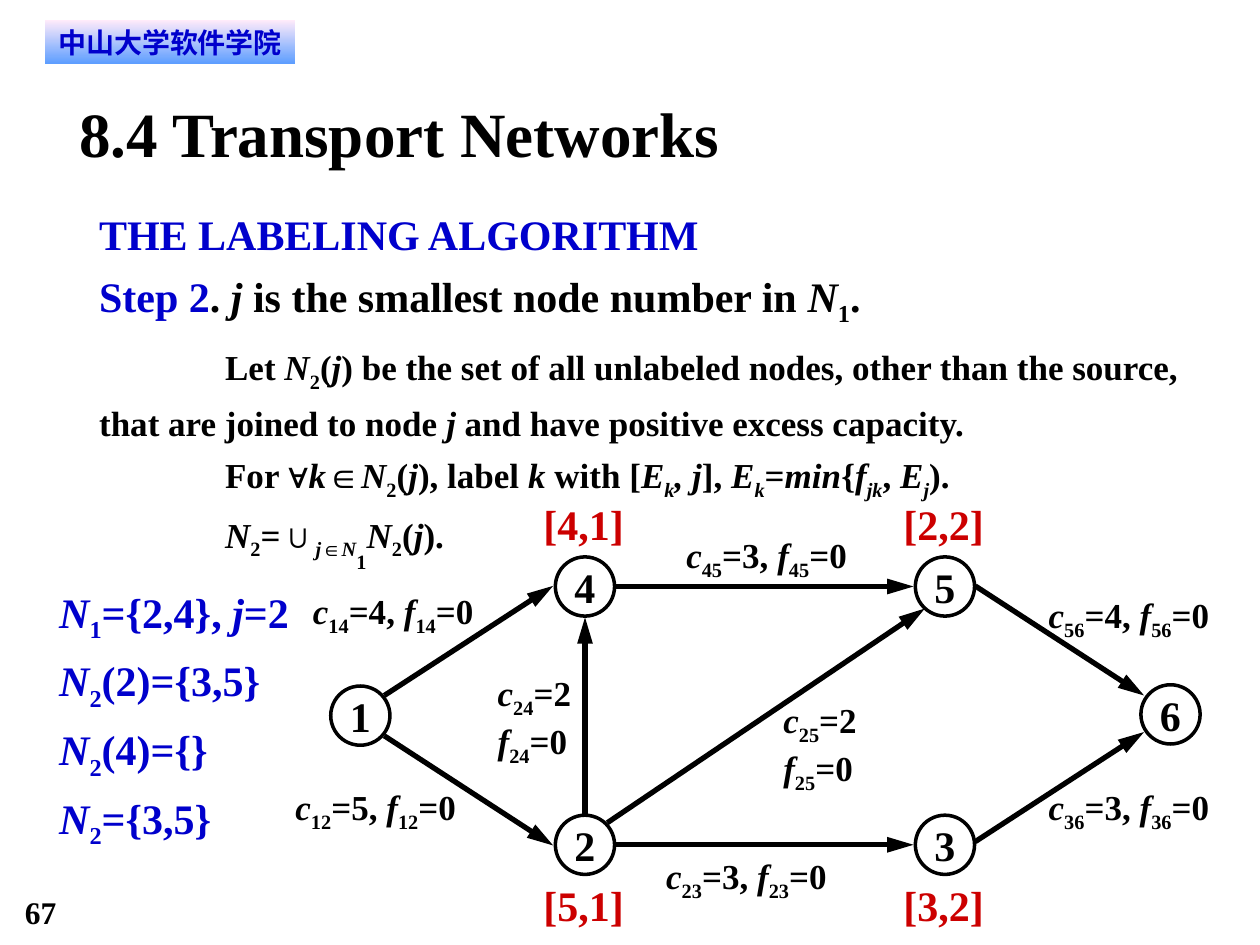
from itertools import groupby

from lxml.etree import SubElement
from pptx import Presentation
from pptx.dml.color import RGBColor
from pptx.enum.shapes import MSO_CONNECTOR as Connector, MSO_SHAPE as Shape
from pptx.enum.text import MSO_ANCHOR as Anchor, PP_ALIGN as Align
from pptx.oxml.ns import qn
from pptx.util import Inches, Pt

COLUMNS, ROWS = 100, 75
BLACK, BLUE, RED = "000000", "0000CC", "CC0000"
SERIF, SYMBOL = "Times New Roman", "Arial"


def colour(value):
    return RGBColor.from_string(value)


def write(para, markup, size=20, ink=BLACK, font=SERIF):
    """Add bold runs: *italic*, _subscript_, ^deep subscript^."""
    marks, styled = {"*": False, "_": False, "^": False}, []
    for char in markup:
        if char in marks:
            marks[char] = not marks[char]
        else:
            face = SYMBOL if char in "∀∈" else font
            styled.append((char, (face, *marks.values())))
    for style, chars in groupby(styled, key=lambda item: item[1]):
        face, italic, low, deep = style
        span = para.add_run()
        span.text = "".join(char for char, _ in chars)
        span.font.name, span.font.size = face, Pt(size)
        span.font.bold, span.font.italic = True, italic
        span.font.color.rgb = colour(ink)
        if low or deep:
            span.font._element.set("baseline", "-60000" if deep else "-25000")


class Page:
    def __init__(self, deck):
        self.slide = deck.slides.add_slide(deck.slide_layouts[6])
        self.column = deck.slide_width / COLUMNS
        self.row = deck.slide_height / ROWS

    def place(self, left, top, width, height):
        return (round(left * self.column), round(top * self.row),
                round(width * self.column), round(height * self.row))

    def frame(self, box, margins=(0, 0), wrap=True, anchor=Anchor.TOP):
        frame = box.text_frame
        frame.margin_left = frame.margin_right = Inches(margins[0])
        frame.margin_top = frame.margin_bottom = Inches(margins[1])
        frame.word_wrap, frame.vertical_anchor = wrap, anchor
        return frame

    def text(self, area, lines, spacing=1.0, wrap=True, tab=None, **style):
        """Each line is a markup string or a list of (markup, format) pieces."""
        frame = self.frame(self.slide.shapes.add_textbox(*self.place(*area)), wrap=wrap)
        for index, line in enumerate(lines):
            para = frame.add_paragraph() if index else frame.paragraphs[0]
            para.line_spacing = spacing
            if tab:
                stops = SubElement(para._p.get_or_add_pPr(), qn("a:tabLst"))
                SubElement(stops, qn("a:tab"), pos=str(round(tab * self.column)), algn="l")
            pieces = [(line, {})] if isinstance(line, str) else line
            for markup, extra in pieces:
                write(para, markup, **{**style, **extra})

    def shape(self, kind, area, label, margins=(0, 0), wrap=True, **style):
        box = self.slide.shapes.add_shape(kind, *self.place(*area))
        box.shadow.inherit = False
        frame = self.frame(box, margins, wrap, Anchor.MIDDLE)
        frame.paragraphs[0].alignment = Align.CENTER
        write(frame.paragraphs[0], label, **style)
        return box

    def banner(self, area, label):
        box = self.shape(Shape.RECTANGLE, area, label, (0.08, 0.04),
                         size=16, ink=BLUE, font="DejaVu Sans")
        box.line.fill.background()
        box.fill.gradient()
        box.fill.gradient_angle = 270
        for stop, value, position in zip(box.fill.gradient_stops, ("FFEBFA", "5E9EFF"), (0, 1)):
            stop.color.rgb, stop.position = colour(value), position

    def node(self, centre, label, diameter=4.7):
        x, y = centre
        area = (x - diameter / 2, y - diameter / 2, diameter, diameter)
        box = self.shape(Shape.OVAL, area, label, wrap=False, size=24)
        box.fill.background()
        box.line.color.rgb, box.line.width = colour(BLACK), Pt(2)

    def arrow(self, start, end):
        line = self.slide.shapes.add_connector(
            Connector.STRAIGHT, *self.place(*start, *end))
        line.line.color.rgb, line.line.width = colour(BLACK), Pt(3)
        SubElement(line.line._get_or_add_ln(), qn("a:tailEnd"),
                   type="triangle", w="med", len="lg")
        SubElement(line._element.spPr, qn("a:effectLst"))


def main():
    deck = Presentation()
    deck.slide_width, deck.slide_height = Inches(10), Inches(7.5)
    page = Page(deck)

    # Page number, banner and title
    page.text((1.97, 70.85, 7.5, 3), ["67"], size=18)
    page.banner((3.55, 1.6, 19.9, 3.45), "中山大学软件学院")
    page.text((6.3, 7.5, 87.5, 6), ["8.4 Transport Networks"], size=36)

    # Algorithm step
    large, blue = {"size": 24}, {"size": 24, "ink": BLUE}
    page.text((7.87, 15.75, 86.4, 29.7), [
        [("THE LABELING ALGORITHM", blue)],
        [("Step 2", blue), (". *j* is the smallest node number in *N*_1_.", large)],
        [("\t", large),
         ("Let *N*_2_(*j*) be the set of all unlabeled nodes, other than the source, "
          "that are joined to node *j* and have positive excess capacity.", {})],
        "\tFor ∀*k*∈*N*_2_(*j*), label *k* with [*E_k_, j*], "
        "*E_k_*=*min*{*f_jk_*, *E_j_*).",
        "\t*N*_2_=∪_*j*∈*N*_^1^*N*_2_(*j*).",
    ], spacing=1.2, tab=10)

    # Sets found in this step
    page.text((4.7, 45.6, 18.8, 21.8),
              ["*N*_1_={2,4}, *j*=2", "*N*_2_(2)={3,5}", "*N*_2_(4)={}", "*N*_2_={3,5}"],
              spacing=1.2, size=24, ink=BLUE)

    # Capacity and flow of each edge: left, top, capacity, stacked
    edges = {
        "25": (62.17, 55.45, 2, True), "12": (23.45, 62.35, 5, False),
        "24": (39.5, 53.3, 2, True), "23": (52.87, 67.8, 3, False),
        "36": (83.23, 62.35, 3, False), "56": (83.23, 47.1, 4, False),
        "14": (24.83, 46.8, 4, False), "45": (54.47, 42.35, 3, False),
    }
    for edge, (left, top, capacity, stacked) in edges.items():
        parts = [f"*c*_{edge}_={capacity}", f"*f*_{edge}_=0"]
        lines = parts if stacked else [", ".join(parts)]
        page.text((left, top, 7.3 if stacked else 15, 3.8 * len(lines)), lines)

    # Network nodes
    near, far, upper, lower = 46.43, 75.0, 46.55, 67.05
    nodes = {"1": (28.6, 56.8), "2": (near, lower), "3": (far, lower),
             "4": (near, upper), "5": (far, upper), "6": (92.9, 56.7)}
    for label, centre in nodes.items():
        page.node(centre, label)

    # Network arrows
    for start, end in [
        ((48.9, upper), (72.5, upper)), ((48.9, lower), (72.5, lower)),
        ((near, 64.8), (near, 49)), ((48.2, 65.3), (73.4, 48.3)),
        ((30.5, 55.2), (43.9, 46.5)), ((30.5, 58.4), (43.9, 67.1)),
        ((77.4, 46.5), (90.8, 55.2)), ((77.4, 66.8), (90.8, 58.1)),
    ]:
        page.arrow(start, end)

    # Node labels
    for label, x, top in [("[4,1]", near, 39.55), ("[5,1]", near, 69.8),
                          ("[2,2]", far, 39.55), ("[3,2]", far, 69.8)]:
        page.text((x - 3.3, top, 6.4, 4), [label], wrap=False, size=24, ink=RED)

    deck.save("out.pptx")


if __name__ == "__main__":
    main()
